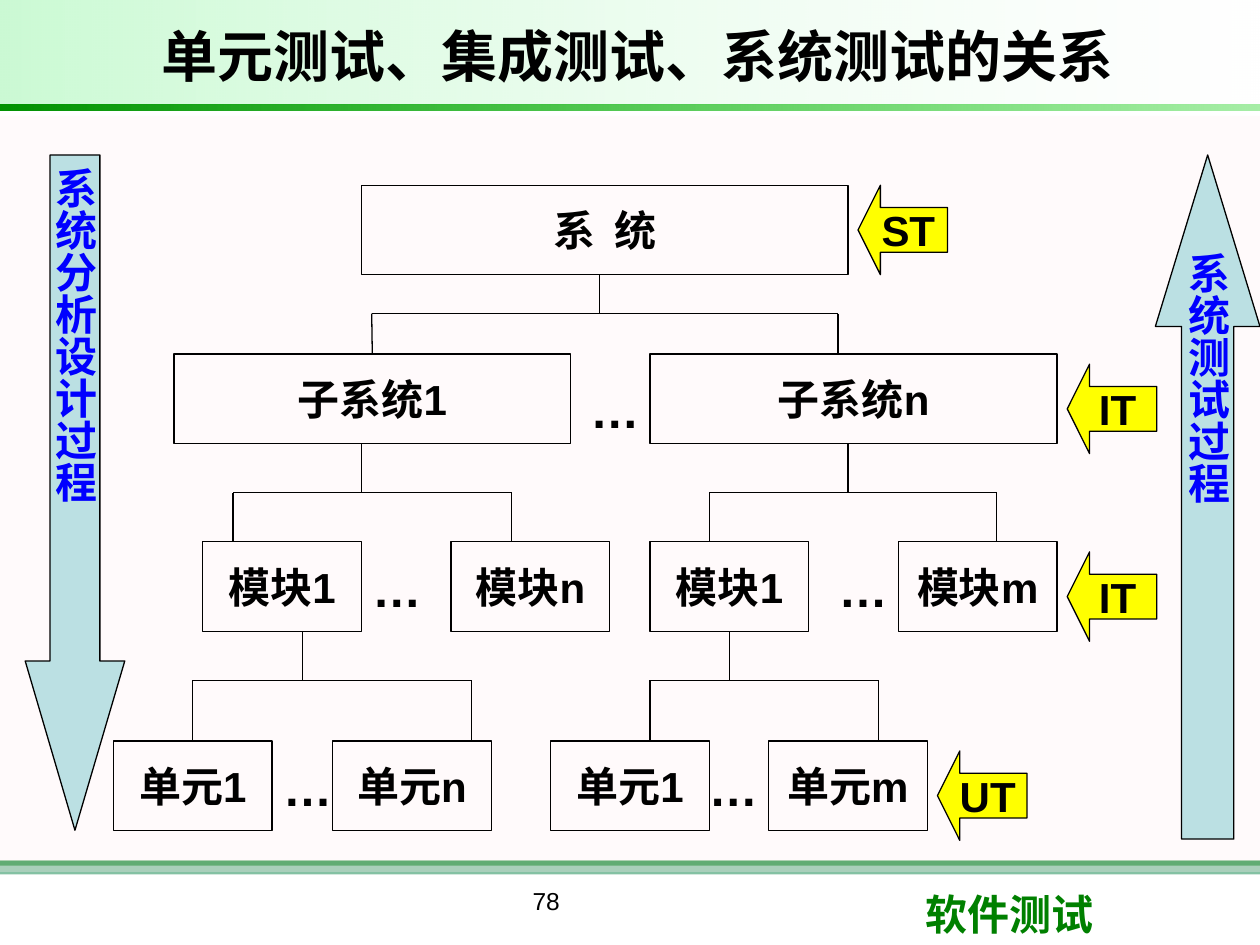
from lxml import etree
from pptx import Presentation
from pptx.dml.color import RGBColor
from pptx.enum.shapes import MSO_CONNECTOR, MSO_SHAPE
from pptx.enum.text import MSO_ANCHOR, MSO_AUTO_SIZE, PP_ALIGN
from pptx.oxml.ns import qn
from pptx.util import Inches, Pt

RECT = MSO_SHAPE.RECTANGLE
LEFT_ARROW, UP_ARROW, DOWN_ARROW = (
    MSO_SHAPE.LEFT_ARROW, MSO_SHAPE.UP_ARROW, MSO_SHAPE.DOWN_ARROW)
STRAIGHT = MSO_CONNECTOR.STRAIGHT
LEFT, CENTER = PP_ALIGN.LEFT, PP_ALIGN.CENTER
TOP, MIDDLE = MSO_ANCHOR.TOP, MSO_ANCHOR.MIDDLE
SIDE_TOP, SIDE_BOTTOM = 0, 2

BOX_H = 0.71
ROW_Y = {"system": 1.47, "subsystem": 2.81, "module": 4.3, "unit": 5.88}


def rgb(value):
    return RGBColor.from_string(value)


def set_alpha(color_parent, percent):
    """Make every colour below the element show at the given opacity."""
    for clr in color_parent.iter(qn("a:srgbClr")):
        etree.SubElement(clr, qn("a:alpha")).set("val", str(percent * 1000))


def write(tf, text, size=24, color="000000", bold=True, font="Arial",
          align=CENTER, anchor=MIDDLE, wrap=False):
    tf.word_wrap = wrap
    tf.auto_size = MSO_AUTO_SIZE.NONE
    tf.vertical_anchor = anchor
    p = tf.paragraphs[0]
    p.alignment = align
    r = p.add_run()
    r.text = text
    r.font.name, r.font.size, r.font.bold = font, Pt(size), bold
    r.font.color.rgb = rgb(color)


class Deck:
    line_color = "000000"
    line_width = Pt(0.75)

    def __init__(self, width, height):
        self.prs = Presentation()
        self.prs.slide_width, self.prs.slide_height = Inches(width), Inches(height)
        self.s = self.prs.slides.add_slide(self.prs.slide_layouts[5])

    def title(self, text, x, y, w, h):
        sp = self.s.shapes.title
        sp.left, sp.top, sp.width, sp.height = map(Inches, (x, y, w, h))
        write(sp.text_frame, text, size=32, align=LEFT, wrap=True)
        self.s.shapes._spTree.append(sp._element)  # in front of the bands

    def text(self, text, x, y, w, h, **fmt):
        sp = self.s.shapes.add_textbox(*map(Inches, (x, y, w, h)))
        write(sp.text_frame, text, anchor=TOP, wrap=True, **fmt)

    def shape(self, kind, x, y, w, h, fill=None, outline=True):
        sp = self.s.shapes.add_shape(kind, *map(Inches, (x, y, w, h)))
        sp.shadow.inherit = False
        if fill:
            sp.fill.solid()
            sp.fill.fore_color.rgb = rgb(fill)
        else:
            sp.fill.background()
        if outline:
            sp.line.color.rgb = rgb(self.line_color)
            sp.line.width = self.line_width
        else:
            sp.line.fill.background()
        return sp

    def band(self, y, h, fill, alpha=100):
        sp = self.shape(RECT, 0, y, 10, h, fill, outline=False)
        set_alpha(sp._element.spPr, alpha)

    def gradient_band(self, y, h, stops):
        """stops: (colour, opacity) from right to left."""
        sp = self.shape(RECT, 0, y, 10, h, outline=False)
        sp.rotation = 180
        sp.fill.gradient()
        sp.fill.gradient_angle = 0
        for stop, (color, alpha) in zip(sp.fill.gradient_stops, stops):
            stop.color.rgb = rgb(color)
            set_alpha(stop._gs, alpha)

    def box(self, text, x, y, w):
        sp = self.shape(RECT, x, y, w, BOX_H)
        write(sp.text_frame, text)
        return sp

    def arrow(self, kind, text, x, y, w, h, head, fill, color="000000", vertical=False):
        sp = self.shape(kind, x, y, w, h, fill)
        sp.adjustments[0], sp.adjustments[1] = 0.5, head
        write(sp.text_frame, text, color=color)
        if vertical:
            sp.text_frame._txBody.bodyPr.set("vert", "eaVert")

    def line(self, x1, y1, x2, y2):
        c = self.s.shapes.add_connector(STRAIGHT, *map(Inches, (x1, y1, x2, y2)))
        c.line.color.rgb = rgb(self.line_color)
        c.line.width = self.line_width
        etree.SubElement(c._element.spPr, qn("a:effectLst"))
        return c

    def branch(self, parent, stem_x, bus_y, children):
        """Stem under the parent, a bus, and a drop at each (x, child)."""
        def is_middle(x, box):
            return abs(Inches(x) - box.left - box.width / 2) < Inches(0.02)

        xs = [x for x, _ in children]
        self.line(xs[0], bus_y, xs[-1], bus_y)
        stem = self.line(stem_x, (parent.top + parent.height) / Inches(1), stem_x, bus_y)
        if is_middle(stem_x, parent):
            stem.begin_connect(parent, SIDE_BOTTOM)
        for x, child in children:
            drop = self.line(x, bus_y, x, child.top / Inches(1))
            if is_middle(x, child):
                drop.end_connect(child, SIDE_TOP)


def main():
    d = Deck(10, 7.5)

    # Backdrop and footer
    d.band(6.83, 0.04, "008000")
    d.band(6.83, 0.11, "339966", 60)
    d.band(0.92, 6, "FFF0F5", 30)
    d.text("软件测试", 7.25, 7, 2.37, 0.5, color="008000", font="Roboto", align=LEFT)
    d.gradient_band(0, 0.83, [("FFFFFF", 10), ("09E733", 21)])
    d.gradient_band(0.83, 0.05, [("00CC00", 35), ("009200", 100)])
    d.title("单元测试、集成测试、系统测试的关系", 1.18, 0.08, 8.4, 0.71)
    d.text("78", 2.75, 6.98, 3.17, 0.52, size=14, bold=False)

    # Decomposition tree
    system = d.box("系  统", 2.87, ROW_Y["system"], 3.86)
    sub_1 = d.box("子系统1", 1.38, ROW_Y["subsystem"], 3.15)
    sub_n = d.box("子系统n", 5.16, ROW_Y["subsystem"], 3.23)
    modules = [d.box(text, x, ROW_Y["module"], 1.26) for text, x in
               [("模块1", 1.61), ("模块n", 3.58), ("模块1", 5.16), ("模块m", 7.13)]]
    units = [d.box(text, x, ROW_Y["unit"], 1.26) for text, x in
             [("单元1", 0.9), ("单元n", 2.64), ("单元1", 4.37), ("单元m", 6.1)]]

    for x, row, dy in [(4.37, "subsystem", 0.15), (2.64, "module", 0.08),
                       (6.34, "module", 0.08), (1.93, "unit", 0.08),
                       (5.31, "unit", 0.08)]:
        d.text("…", x, ROW_Y[row] + dy, 1.02, 0.57, size=28)

    for parent, stem_x, bus_y, drop_xs, children in [
            (system, 4.76, 2.49, (2.95, 6.65), (sub_1, sub_n)),
            (sub_1, 2.87, 3.91, (1.85, 4.06), modules[:2]),
            (sub_n, 6.73, 3.91, (5.63, 7.91), modules[2:]),
            (modules[0], 2.4, 5.4, (1.53, 3.74), units[:2]),
            (modules[2], 5.79, 5.4, (5.16, 6.97), units[2:])]:
        d.branch(parent, stem_x, bus_y, list(zip(drop_xs, children)))

    # Test level of each row
    for text, x, y in [("UT", 7.44, 5.96), ("ST", 6.81, 1.47),
                       ("IT", 8.47, 2.89), ("IT", 8.47, 4.38)]:
        d.arrow(LEFT_ARROW, text, x, y, 0.71, 0.71, 0.25, "FFFF00")

    # Process directions
    for kind, text, x, w, h, head in [
            (DOWN_ARROW, "系统分析设计过程", 0.2, 0.79, 5.36, 1.7),
            (UP_ARROW, "系统测试过程", 9.17, 0.83, 5.43, 1.64)]:
        d.arrow(kind, text, x, 1.23, w, h, head, "BBE0E3", color="0000FF", vertical=True)

    d.prs.save("out.pptx")


if __name__ == "__main__":
    main()
